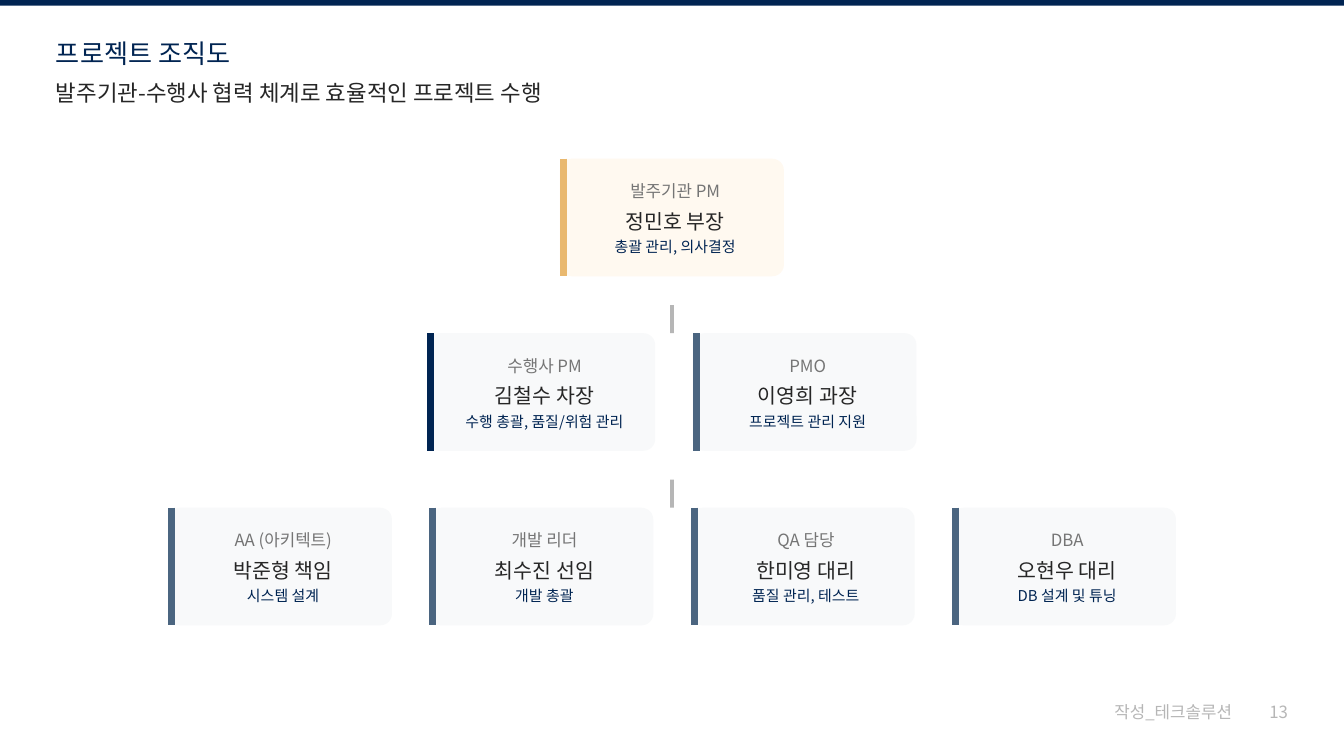
import pptx
import pptx.dml.color
import pptx.enum.shapes
import pptx.enum.text
import pptx.oxml
import pptx.oxml.ns
import pptx.util

Pt = pptx.util.Pt
Shape = pptx.enum.shapes.MSO_SHAPE
Align = pptx.enum.text.PP_ALIGN

COLORS = {
    "navy": "002452", "slate": "4B6580", "gold": "E9B86E",
    "ink": "262626", "gray": "757575", "light": "B6B6B6",
    "cream": "FFF9F0", "mist": "F8F9FA",
}
PAGE_WIDTH, PAGE_HEIGHT = 720, 405
CARD_HEIGHT, CARD_GAP, STEM_HEIGHT = 63, 20, 15
FIRST_ROW_TOP = 85

# Each card: width, accent, fill, role, name, duty
ROWS = [
    [(120, "gold", "cream", "발주기관 PM", "정민호 부장", "총괄 관리, 의사결정")],
    [(122, "navy", "mist", "수행사 PM", "김철수 차장", "수행 총괄, 품질/위험 관리"),
     (120, "slate", "mist", "PMO", "이영희 과장", "프로젝트 관리 지원")],
    [(120, "slate", "mist", "AA (아키텍트)", "박준형 책임", "시스템 설계"),
     (120, "slate", "mist", "개발 리더", "최수진 선임", "개발 총괄"),
     (120, "slate", "mist", "QA 담당", "한미영 대리", "품질 관리, 테스트"),
     (120, "slate", "mist", "DBA", "오현우 대리", "DB 설계 및 튜닝")],
]


class SlideBuilder:
    font = "Noto Sans CJK KR"

    def __init__(self, slide):
        self.slide = slide

    def color(self, name):
        return pptx.dml.color.RGBColor.from_string(COLORS[name])

    def set_text(self, shape, text, size, color, align=Align.LEFT, before=0, after=0):
        frame = shape.text_frame
        frame.text = text
        frame.word_wrap = True
        frame.auto_size = pptx.enum.text.MSO_AUTO_SIZE.NONE
        frame.vertical_anchor = pptx.enum.text.MSO_ANCHOR.TOP
        frame.margin_left = frame.margin_right = 0
        frame.margin_top = frame.margin_bottom = 0
        paragraph = frame.paragraphs[0]
        paragraph.alignment = align
        paragraph.space_before, paragraph.space_after = Pt(before), Pt(after)
        for run in paragraph.runs:
            run.font.size = Pt(size)
            run.font.name = self.font
            run.font.color.rgb = self.color(color)
            east_asian = pptx.oxml.parse_xml(
                f'<a:ea {pptx.oxml.ns.nsdecls("a")} typeface="{self.font}"/>')
            run.font._element.find(pptx.oxml.ns.qn("a:latin")).addnext(east_asian)
        return paragraph

    def placeholder(self, index, left, top, width, height, *style, **spacing):
        shape = self.slide.placeholders[index]
        shape.left, shape.top = Pt(left), Pt(top)
        shape.width, shape.height = Pt(width), Pt(height)
        return self.set_text(shape, *style, **spacing)

    def remove_bullet(self, paragraph):
        properties = paragraph._p.get_or_add_pPr()
        properties.set("marL", "0")
        properties.set("indent", "0")
        properties.append(pptx.oxml.parse_xml(
            f'<a:buNone {pptx.oxml.ns.nsdecls("a")}/>'))

    def text(self, left, top, width, height, *style, **spacing):
        box = self.slide.shapes.add_textbox(Pt(left), Pt(top), Pt(width), Pt(height))
        self.set_text(box, *style, **spacing)

    def block(self, left, top, width, height, fill, kind=Shape.RECTANGLE):
        shape = self.slide.shapes.add_shape(
            kind, Pt(left), Pt(top), Pt(width), Pt(height))
        shape.shadow.inherit = False
        shape.fill.solid()
        shape.fill.fore_color.rgb = self.color(fill)
        shape.line.fill.background()
        return shape

    def vertical_line(self, x, top, height, color, weight):
        line = self.slide.shapes.add_connector(
            pptx.enum.shapes.MSO_CONNECTOR.STRAIGHT,
            Pt(x), Pt(top), Pt(x), Pt(top + height))
        line.line.color.rgb = self.color(color)
        line.line.width = Pt(weight)
        line._element.spPr.append(pptx.oxml.parse_xml(
            f'<a:effectLst {pptx.oxml.ns.nsdecls("a")}/>'))

    def card(self, left, top, width, accent, fill, role, name, duty):
        panel = self.block(left, top, width, CARD_HEIGHT, fill, Shape.ROUNDED_RECTANGLE)
        panel.adjustments[0] = 0.1
        self.vertical_line(left + 1.9, top, CARD_HEIGHT, accent, 3.75)
        text_left, text_width = left + 18.8, width - 34.2
        self.text(text_left, top + 12, text_width, 11, role, 9, "gray",
                  Align.CENTER, after=4)
        self.text(text_left, top + 26.8, text_width, 12, name, 11, "ink", Align.CENTER)
        self.text(text_left, top + 42.5, text_width, 9, duty, 8, "navy",
                  Align.CENTER, before=4)

    def card_row(self, top, cards):
        """Draw one centred row of cards."""
        total = sum(card[0] for card in cards) + CARD_GAP * (len(cards) - 1)
        left = (PAGE_WIDTH - total) / 2
        for card in cards:
            self.card(left, top, *card)
            left += card[0] + CARD_GAP


def main():
    presentation = pptx.Presentation()
    presentation.slide_width = Pt(PAGE_WIDTH)
    presentation.slide_height = Pt(PAGE_HEIGHT)
    slide = presentation.slides.add_slide(presentation.slide_layouts[1])
    builder = SlideBuilder(slide)

    builder.block(0, 0, PAGE_WIDTH, 3, "navy")
    builder.placeholder(0, 30, 20, 274, 16.5, "프로젝트 조직도", 14, "navy")
    subtitle = builder.placeholder(
        1, 30, 42.5, 274, 14, "발주기관-수행사 협력 체계로 효율적인 프로젝트 수행",
        12, "ink", before=6)
    builder.remove_bullet(subtitle)

    top = FIRST_ROW_TOP
    for index, cards in enumerate(ROWS):
        if index:
            builder.block(PAGE_WIDTH / 2 - 1, top - STEM_HEIGHT, 2, STEM_HEIGHT, "light")
        builder.card_row(top, cards)
        top += CARD_HEIGHT + 2 * STEM_HEIGHT + 0.5

    builder.text(597, 376, 64, 11, "작성_테크솔루션", 9, "light")
    builder.text(680, 376, 10, 11, "13", 9, "light")
    presentation.save("out.pptx")


if __name__ == "__main__":
    main()
